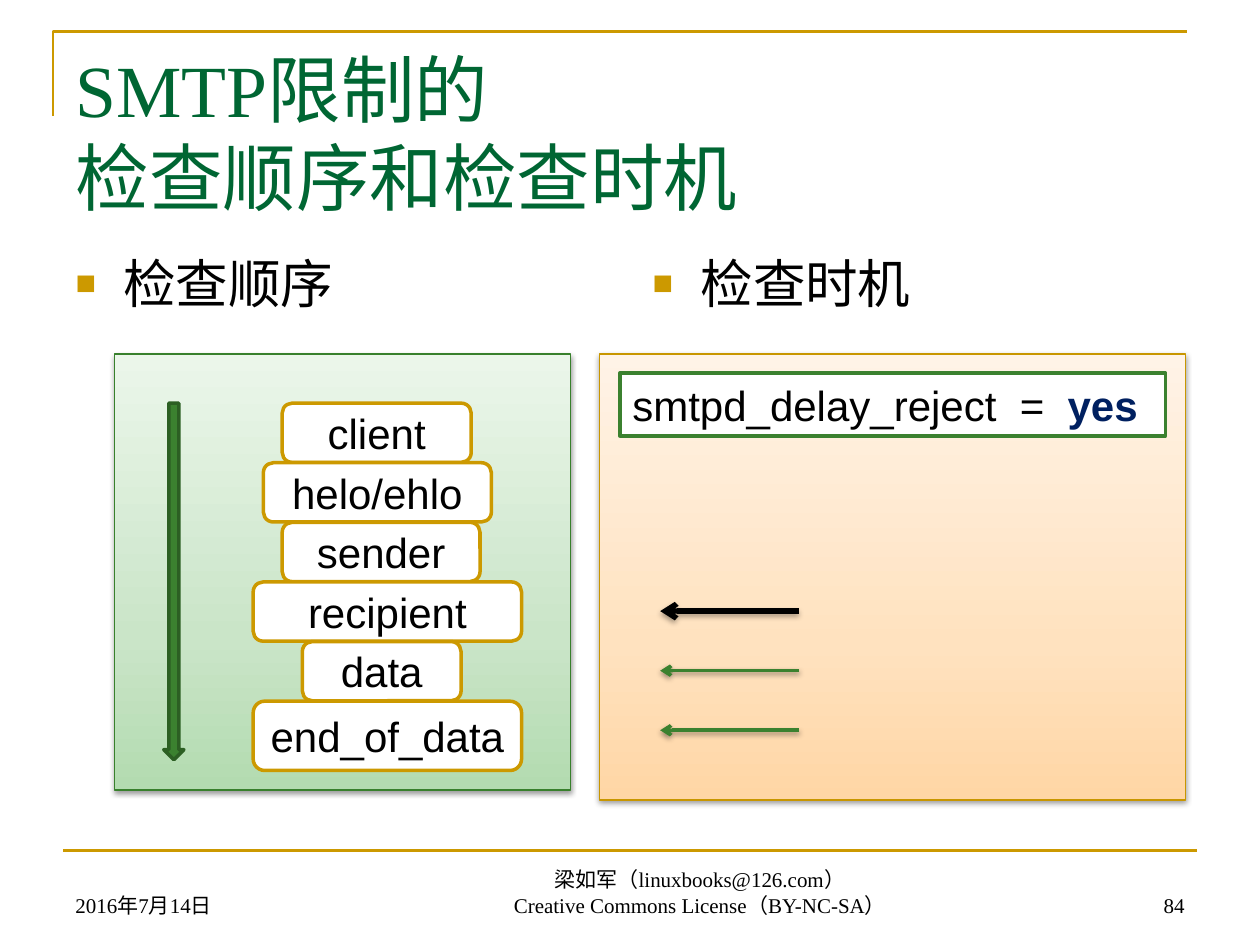
from collections import namedtuple

from lxml import etree
from pptx import Presentation
from pptx.dml.color import RGBColor
from pptx.enum.shapes import MSO_CONNECTOR, MSO_SHAPE
from pptx.enum.text import MSO_ANCHOR, MSO_AUTO_SIZE, PP_ALIGN
from pptx.oxml import parse_xml
from pptx.oxml.ns import nsdecls, qn
from pptx.util import Inches, Pt

RECTANGLE, ROUNDED = MSO_SHAPE.RECTANGLE, MSO_SHAPE.ROUNDED_RECTANGLE
DOWN_ARROW, STRAIGHT = MSO_SHAPE.DOWN_ARROW, MSO_CONNECTOR.STRAIGHT
LEFT, CENTER, RIGHT = PP_ALIGN.LEFT, PP_ALIGN.CENTER, PP_ALIGN.RIGHT
TOP, MIDDLE, BOTTOM = MSO_ANCHOR.TOP, MSO_ANCHOR.MIDDLE, MSO_ANCHOR.BOTTOM

BLACK = RGBColor(0x00, 0x00, 0x00)
WHITE = RGBColor(0xFF, 0xFF, 0xFF)
GOLD = RGBColor(0xCC, 0x99, 0x00)
DARK_GOLD = RGBColor(0xC8, 0x96, 0x00)
TITLE_GREEN = RGBColor(0x00, 0x66, 0x33)
GREEN = RGBColor(0x3B, 0x81, 0x2F)
PANEL_GREEN = RGBColor(0x38, 0x80, 0x2C)
DEEP_GREEN = RGBColor(0x2C, 0x5F, 0x23)
NAVY = RGBColor(0x00, 0x20, 0x60)
GREEN_FADE = [(0, RGBColor(0xB3, 0xDB, 0xB0)), (35, RGBColor(0xCA, 0xE5, 0xC8)),
              (100, RGBColor(0xEB, 0xF6, 0xEA))]
ORANGE_FADE = [(0, RGBColor(0xFF, 0xD6, 0xA5)), (35, RGBColor(0xFF, 0xE2, 0xBF)),
               (100, RGBColor(0xFF, 0xF3, 0xE7))]
SERIF, SANS = "Times New Roman", "Arial"

Box = namedtuple("Box", "left top width height")
ROW = 0.473  # pitch of the restriction stages


def inside(box, left, top, width, height):
    """Return a box placed relative to the corner of another one."""
    return Box(box.left + left, box.top + top, width, height)


def place(shape, box):
    shape.left, shape.top, shape.width, shape.height = map(Inches, box)


def write(shape, *lines, size=24, font=SANS, color=BLACK, align=LEFT,
          anchor=TOP, wrap=True):
    """Write one paragraph per line; a line is text or (text, color, bold) runs."""
    frame = shape.text_frame
    frame.auto_size = MSO_AUTO_SIZE.NONE
    frame.word_wrap = wrap
    frame.vertical_anchor = anchor
    for index, line in enumerate(lines):
        paragraph = frame.add_paragraph() if index else frame.paragraphs[0]
        paragraph.alignment = align
        paragraph.space_before = Pt(0)
        paragraph.font.size = Pt(size)
        runs = [(line, color, False)] if isinstance(line, str) else line
        for text, run_color, bold in runs:
            for part_index, part in enumerate(text.split("\v")):
                if part_index:
                    paragraph.add_line_break()
                run = paragraph.add_run()
                run.text = part
                run.font.size, run.font.name = Pt(size), font
                run.font.bold = bold
                run.font.color.rgb = run_color


def add_effects(shape, shadow=None):
    """Give a shape a downward shadow (opacity, blur, distance), or none."""
    effects = etree.SubElement(shape._element.spPr, qn("a:effectLst"))
    if shadow:
        opacity, blur, distance = shadow
        effects.append(parse_xml(
            f'<a:outerShdw {nsdecls("a")} blurRad="{Pt(blur)}" dist="{Pt(distance)}" '
            f'dir="5400000" rotWithShape="0"><a:srgbClr val="000000">'
            f'<a:alpha val="{opacity * 1000}"/></a:srgbClr></a:outerShdw>'))


def add_block(slide, kind, box, fill, line, width=2):
    shape = slide.shapes.add_shape(kind, *map(Inches, box))
    shape.shadow.inherit = False
    shape.fill.solid()
    shape.fill.fore_color.rgb = fill
    shape.line.color.rgb = line
    shape.line.width = Pt(width)
    return shape


def add_panel(slide, box, stops, line):
    """Rectangle with a vertical gradient and a soft shadow."""
    panel = add_block(slide, RECTANGLE, box, WHITE, line, 0.75)
    properties = panel._element.spPr
    stop_xml = "".join(f'<a:gs pos="{position * 1000}"><a:srgbClr val="{color}"/></a:gs>'
                       for position, color in stops)
    gradient = parse_xml(f'<a:gradFill {nsdecls("a")} rotWithShape="1"><a:gsLst>{stop_xml}'
                         '</a:gsLst><a:lin ang="16200000" scaled="0"/></a:gradFill>')
    properties.replace(properties.find(qn("a:solidFill")), gradient)
    properties.remove(properties.find(qn("a:effectLst")))
    add_effects(panel, (38, 3.1, 1.6))


def add_line(slide, start, end, color, width, arrow=False, shadow=None):
    line = slide.shapes.add_connector(STRAIGHT, *map(Inches, start + end))
    line.line.color.rgb = color
    line.line.width = Pt(width)
    if arrow:
        etree.SubElement(line.line._get_or_add_ln(), qn("a:tailEnd"), type="arrow")
    add_effects(line, shadow)


def add_frame(slide):
    """Gold corner rule above the title and rule above the footer."""
    builder = slide.shapes.build_freeform(Inches(0.42), Inches(0.92))
    builder.add_line_segments([(Inches(0.42), Inches(0.25)),
                               (Inches(9.42), Inches(0.25))], close=False)
    corner = builder.convert_to_shape()
    corner.shadow.inherit = False
    corner.fill.background()
    corner.line.color.rgb = GOLD
    corner.line.width = Pt(1.5)
    add_line(slide, (0.5, 6.75), (9.5, 6.75), GOLD, 1.5)


def fill_title(slide, box):
    title = slide.shapes.title
    place(title, box)
    write(title, "SMTP限制的\v检查顺序和检查时机", size=42, font=SERIF, color=TITLE_GREEN)


def fill_heading(placeholder, box, text):
    """Column heading with a square gold bullet."""
    place(placeholder, box)
    properties = placeholder.text_frame.paragraphs[0]._p.get_or_add_pPr()
    properties.set("marL", str(Inches(0.38)))
    properties.set("indent", str(-Inches(0.38)))
    color = etree.SubElement(properties, qn("a:buClr"))
    etree.SubElement(color, qn("a:srgbClr"), val=str(GOLD))
    etree.SubElement(properties, qn("a:buSzPct"), val="65000")
    etree.SubElement(properties, qn("a:buFont"), typeface=SANS)
    etree.SubElement(properties, qn("a:buChar"), char="■")
    write(placeholder, text, size=30)


def add_order_panel(slide, box):
    """Stack of restriction stages with an arrow showing their order."""
    add_panel(slide, box, GREEN_FADE, PANEL_GREEN)
    stages = [("client", 1.33, 1.5), ("helo/ehlo", 1.18, 1.81), ("sender", 1.33, 1.57),
              ("recipient", 1.1, 2.13), ("data", 1.49, 1.26), ("end_of_data", 1.1, 2.13)]
    for index, (name, left, width) in enumerate(stages):
        height = 0.55 if name == "end_of_data" else 0.47
        stage = add_block(slide, ROUNDED, inside(box, left, 0.39 + index * ROW, width, height),
                          WHITE, GOLD)
        write(stage, name, align=CENTER, anchor=MIDDLE, wrap=False)
    add_block(slide, DOWN_ARROW, inside(box, 0.39, 0.39, 0.16, 2.83), GREEN, DEEP_GREEN)


def add_timing_panel(slide, box):
    """Setting that delays rejection, with arrows at the last stages."""
    add_panel(slide, box, ORANGE_FADE, DARK_GOLD)
    setting = add_block(slide, RECTANGLE, inside(box, 0.16, 0.15, 4.33, 0.5), WHITE, GREEN)
    write(setting, [("smtpd_delay_reject  =  ", BLACK, False), ("yes", NAVY, True)], wrap=False)
    arrows = [(BLACK, 3, (35, 3.1, 1.8))] + [(GREEN, 2, (38, 3.1, 1.6))] * 2
    for index, (color, width, shadow) in enumerate(arrows):
        y = box.top + 2.04 + index * ROW
        add_line(slide, (box.left + 1.58, y), (box.left + 0.48, y), color, width, True, shadow)


def add_footer(slide, top, height):
    parts = [(0.5, 2.33, LEFT, ["2016年7月14日"]),
             (2.64, 5.83, CENTER, ["梁如军（linuxbooks@126.com）",
                                   "Creative Commons License（BY-NC-SA）"]),
             (7.17, 2.33, RIGHT, ["84"])]
    for left, width, align, lines in parts:
        text_box = slide.shapes.add_textbox(*map(Inches, (left, top, width, height)))
        write(text_box, *lines, size=12, font=SERIF, align=align, anchor=BOTTOM)


def main():
    presentation = Presentation()
    presentation.slide_width, presentation.slide_height = Inches(10), Inches(7.5)
    slide = presentation.slides.add_slide(presentation.slide_layouts[3])
    add_frame(slide)
    fill_title(slide, Box(0.5, 0.3, 9, 1.25))
    fill_heading(slide.placeholders[1], Box(0.5, 1.94, 4.42, 4.77), "检查顺序")
    fill_heading(slide.placeholders[2], Box(5.08, 1.94, 4.42, 4.77), "检查时机")
    add_footer(slide, 6.83, 0.5)
    add_order_panel(slide, Box(0.91, 2.81, 3.62, 3.46))
    add_timing_panel(slide, Box(4.76, 2.81, 4.65, 3.54))
    presentation.save("out.pptx")


if __name__ == "__main__":
    main()
